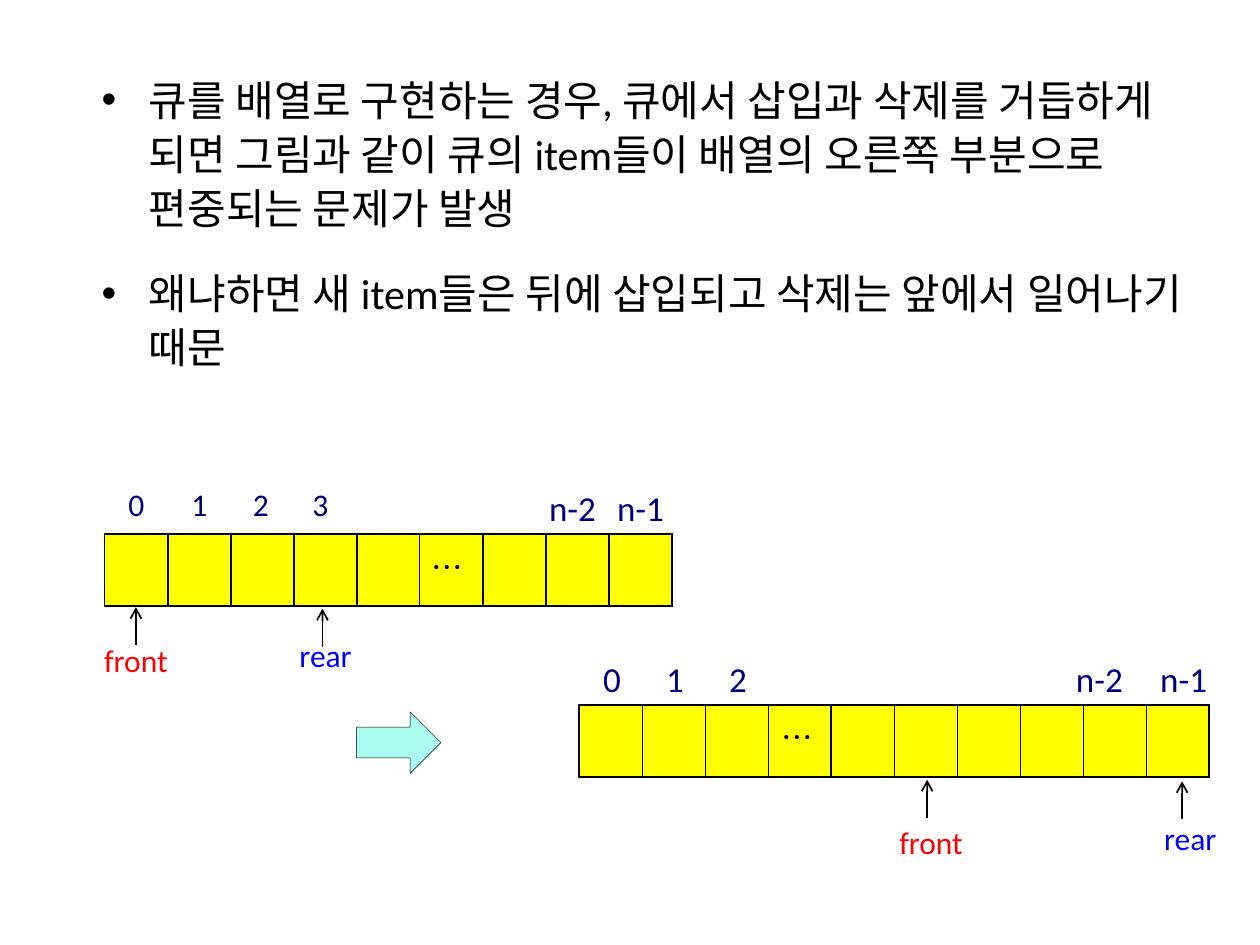
from lxml import etree
from pptx import Presentation
from pptx.dml.color import RGBColor
from pptx.enum.lang import MSO_LANGUAGE_ID
from pptx.enum.shapes import MSO_CONNECTOR, MSO_SHAPE
from pptx.enum.text import MSO_AUTO_SIZE, PP_ALIGN
from pptx.oxml.ns import qn
from pptx.util import Cm, Pt

RECT = MSO_SHAPE.RECTANGLE
RIGHT_ARROW = MSO_SHAPE.RIGHT_ARROW
STRAIGHT = MSO_CONNECTOR.STRAIGHT
FIT = MSO_AUTO_SIZE.SHAPE_TO_FIT_TEXT
LEFT, CENTER = PP_ALIGN.LEFT, PP_ALIGN.CENTER
KOREAN = MSO_LANGUAGE_ID.KOREAN

BLACK = RGBColor(0x00, 0x00, 0x00)
YELLOW = RGBColor(0xFF, 0xFF, 0x00)
AQUA = RGBColor(0xAA, 0xFC, 0xF0)
RED = RGBColor(0xFF, 0x00, 0x00)
BLUE = RGBColor(0x00, 0x00, 0xFF)
INDEX_NAVY = RGBColor(0x00, 0x00, 0x7F)
END_NAVY = RGBColor(0x00, 0x00, 0x80)

LATIN_FONT = "Calibri"
KOREAN_FONT = "Noto Sans CJK KR"
CELL = 1.27
CELL_HEIGHT = 1.45

BULLETS = [
    "큐를 배열로 구현하는 경우, 큐에서 삽입과 삭제를 거듭하게 되면 그림과 같이 큐의 item들이 "
    "배열의 오른쪽 부분으로 편중되는 문제가 발생",
    "왜냐하면 새 item들은 뒤에 삽입되고 삭제는 앞에서 일어나기 때문",
]


def add_bullet(p):
    pPr = p._p.get_or_add_pPr()
    pPr.set("marL", str(Cm(0.95)))
    pPr.set("indent", str(-Cm(0.95)))
    etree.SubElement(pPr, qn("a:buFont"), typeface="Arial")
    etree.SubElement(pPr, qn("a:buChar"), char="•")
    p.line_spacing = 1.07
    p.space_after = Pt(18)


def add_text(s, text, x, y, w, h, size=18, color=BLACK, font=LATIN_FONT,
             align=LEFT, wrap=True, bullet=False):
    sp = s.shapes.add_textbox(Cm(x), Cm(y), Cm(w), Cm(h))
    tf = sp.text_frame
    tf.word_wrap = wrap
    tf.auto_size = FIT
    for i, line in enumerate(text.split("\n")):
        p = tf.add_paragraph() if i else tf.paragraphs[0]
        p.alignment = align
        if bullet:
            add_bullet(p)
        r = p.add_run()
        r.text = line
        r.font.size = Pt(size)
        r.font.color.rgb = color
        r.font.name = font
        r.font.language_id = KOREAN
        etree.SubElement(r._r.get_or_add_rPr(), qn("a:ea"), typeface=font)


def add_block(s, kind, x, y, w, h, fill, line_width):
    sp = s.shapes.add_shape(kind, Cm(x), Cm(y), Cm(w), Cm(h))
    sp.shadow.inherit = False
    sp.fill.solid()
    sp.fill.fore_color.rgb = fill
    sp.line.color.rgb = BLACK
    sp.line.width = Pt(line_width)


def add_vertical(s, x, y1, y2, arrow=False):
    sp = s.shapes.add_connector(STRAIGHT, Cm(x), Cm(y1), Cm(x), Cm(y2))
    sp.line.color.rgb = BLACK
    sp.line.width = Pt(1)
    if arrow:
        etree.SubElement(sp.line._get_or_add_ln(), qn("a:tailEnd"), type="arrow")
    etree.SubElement(sp._element.spPr, qn("a:effectLst"))


def add_array(s, x, y, cells):
    add_block(s, RECT, x, y, cells * CELL, CELL_HEIGHT, YELLOW, 1)
    for i in range(1, cells + 1):
        add_vertical(s, x + i * CELL, y - 0.03, y + CELL_HEIGHT + 0.02)


def add_index(s, text, x, y, size, w, h, color=INDEX_NAVY):
    add_text(s, text, x, y, w, h, size=size, color=color, wrap=False)


def add_ends(s, y, lefts):
    for text, x in zip(("n-2", "n-1"), lefts):
        add_index(s, text, x, y, 20, 1.47, 1.12, END_NAVY)


def add_pointer(s, text, x, y, w, color, arrow_x, arrow_y):
    add_vertical(s, arrow_x, arrow_y + 0.77, arrow_y, arrow=True)
    add_text(s, text, x, y, w, 1.02, color=color, align=CENTER)


def add_ellipsis(s, x, y):
    add_text(s, "…", x, y, 1.75, 1.02, font=KOREAN_FONT, align=CENTER)


def main():
    prs = Presentation()
    prs.slide_width, prs.slide_height = Cm(25.4), Cm(19.05)
    s = prs.slides.add_slide(prs.slide_layouts[6])

    add_array(s, 2.11, 10.77, 9)
    for i, x in enumerate((2.34, 3.61, 4.85, 6.05)):
        add_index(s, str(i), x, 9.65, 18, 0.84, 1.02)
    add_ends(s, 9.68, (10.82, 12.19))
    add_ellipsis(s, 8.15, 10.92)
    add_pointer(s, "front", 1.8, 12.8, 1.88, RED, 2.74, 12.24)
    add_pointer(s, "rear", 5.51, 12.7, 2.11, BLUE, 6.5, 12.27)

    add_array(s, 11.68, 14.22, 10)
    for i in range(3):
        add_index(s, str(i), 11.91 + i * CELL, 13.13, 20, 0.89, 1.12)
    add_ends(s, 13.13, (21.44, 23.14))
    add_ellipsis(s, 15.19, 14.35)
    add_pointer(s, "front", 17.83, 16.46, 1.88, RED, 18.69, 15.72)
    add_pointer(s, "rear", 22.94, 16.38, 2.11, BLUE, 23.83, 15.75)

    add_text(s, "\n".join(BULLETS), 1.8, 1.3, 22.63, 6.32, size=24, bullet=True)
    add_block(s, RIGHT_ARROW, 7.19, 14.35, 1.7, 1.24, AQUA, 0.25)

    prs.save("out.pptx")


if __name__ == "__main__":
    main()
